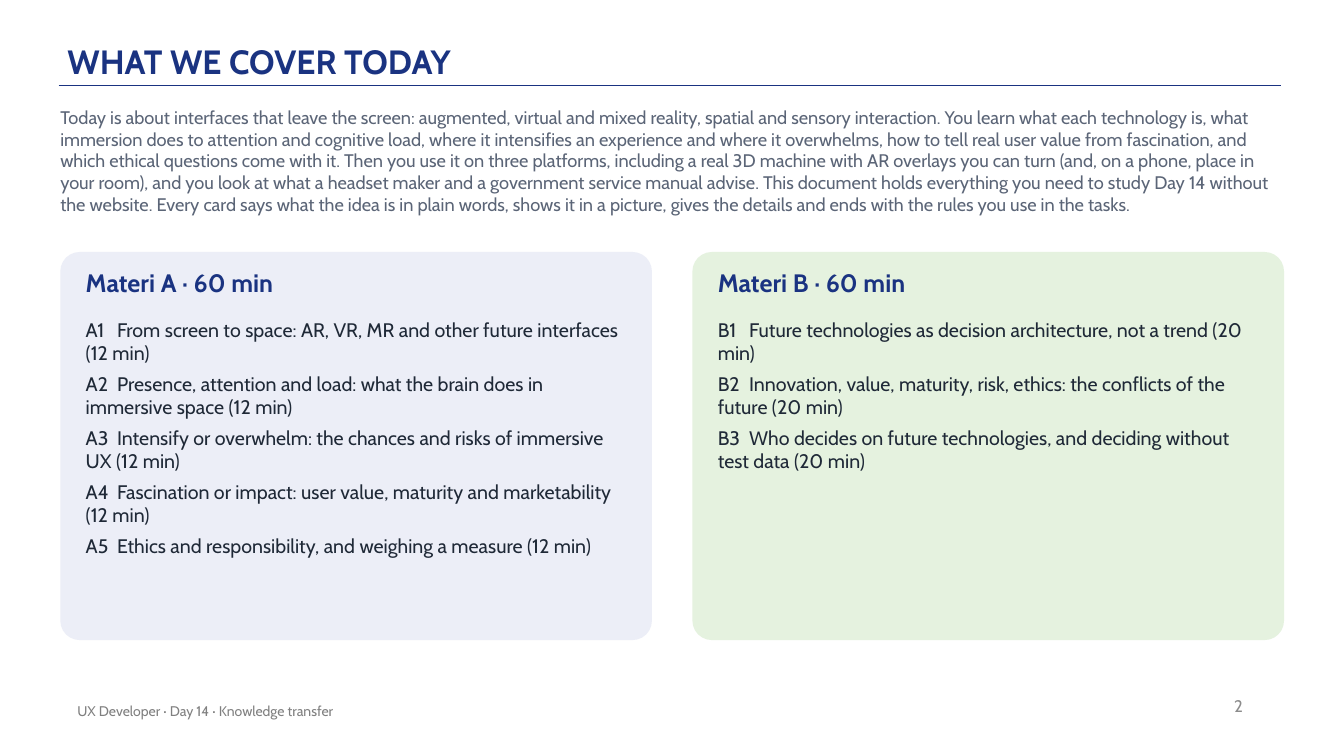
from dataclasses import dataclass

from lxml import etree
from pptx import Presentation
from pptx.dml.color import RGBColor
from pptx.enum.shapes import MSO_CONNECTOR, MSO_SHAPE
from pptx.enum.text import MSO_ANCHOR, PP_ALIGN
from pptx.oxml.ns import qn
from pptx.util import Cm, Pt

TOP, MIDDLE, BOTTOM = MSO_ANCHOR.TOP, MSO_ANCHOR.MIDDLE, MSO_ANCHOR.BOTTOM
LEFT, RIGHT = PP_ALIGN.LEFT, PP_ALIGN.RIGHT
STRAIGHT, ROUNDED = MSO_CONNECTOR.STRAIGHT, MSO_SHAPE.ROUNDED_RECTANGLE

# Content
TITLE = "WHAT WE COVER TODAY"
INTRO = (
    "Today is about interfaces that leave the screen: augmented, virtual and mixed reality, "
    "spatial and sensory interaction. You learn what each technology is, what immersion does "
    "to attention and cognitive load, where it intensifies an experience and where it "
    "overwhelms, how to tell real user value from fascination, and which ethical questions "
    "come with it. Then you use it on three platforms, including a real 3D machine with AR "
    "overlays you can turn (and, on a phone, place in your room), and you look at what a "
    "headset maker and a government service manual advise. This document holds everything "
    "you need to study Day 14 without the website. Every card says what the idea is in plain "
    "words, shows it in a picture, gives the details and ends with the rules you use in the "
    "tasks."
)
MODULES = [
    ("Materi A · 60 min", "ECEEF7", [
        ("A1", "From screen to space: AR, VR, MR and other future interfaces (12 min)"),
        ("A2", "Presence, attention and load: what the brain does in immersive space (12 min)"),
        ("A3", "Intensify or overwhelm: the chances and risks of immersive UX (12 min)"),
        ("A4", "Fascination or impact: user value, maturity and marketability (12 min)"),
        ("A5", "Ethics and responsibility, and weighing a measure (12 min)"),
    ]),
    ("Materi B · 60 min", "E5F2DF", [
        ("B1", "Future technologies as decision architecture, not a trend (20 min)"),
        ("B2", "Innovation, value, maturity, risk, ethics: the conflicts of the future (20 min)"),
        ("B3", "Who decides on future technologies, and deciding without test data (20 min)"),
    ]),
]
FOOTER = "UX Developer · Day 14 · Knowledge transfer"
PAGE_NUMBER = "2"


@dataclass(frozen=True)
class Theme:
    font: str = "Cabin"
    navy: str = "1A3381"
    slate: str = "5B6577"
    ink: str = "1F2937"
    footer_grey: str = "808080"
    number_grey: str = "8C8C8C"
    title_size: int = 24
    heading_size: int = 18
    topic_size: int = 14
    intro_size: int = 13
    number_size: int = 12
    footer_size: int = 10


THEME = Theme()

# Layout in centimetres
CARD_LEFT, CARD_TOP, CARD_WIDTH, CARD_HEIGHT = 1.52, 6.35, 14.91, 9.78
CARD_STEP = 15.93
CARD_PADDING = 0.64
TOPIC_TAB = 0.79

deck = Presentation()
deck.slide_width, deck.slide_height = Cm(33.87), Cm(19.05)
slide = deck.slides.add_slide(deck.slide_layouts[6])


def add_text(lines, box, size, color, bold=False, anchor=TOP, align=LEFT,
             insets=(0, 0), after=0, spacing=1.0, tab=None):
    frame = slide.shapes.add_textbox(*map(Cm, box)).text_frame
    frame.word_wrap = True
    frame.vertical_anchor = anchor
    frame.margin_left = frame.margin_right = Cm(insets[0])
    frame.margin_top = frame.margin_bottom = Cm(insets[1])
    for i, line in enumerate(lines):
        paragraph = frame.paragraphs[0] if i == 0 else frame.add_paragraph()
        paragraph.text = line
        if tab:
            stops = etree.SubElement(paragraph._p.get_or_add_pPr(), qn("a:tabLst"))
            etree.SubElement(stops, qn("a:tab"), pos=str(Cm(tab)), algn="l")
        paragraph.alignment = align
        paragraph.space_after = Pt(after)
        paragraph.line_spacing = spacing
        font = paragraph.font
        font.name, font.size, font.bold = THEME.font, Pt(size), bold
        font.color.rgb = RGBColor.from_string(color)


# Title and rule
rule = slide.shapes.add_connector(STRAIGHT, Cm(1.48), Cm(2.16), Cm(32.28), Cm(2.16))
rule.line.color.rgb = RGBColor.from_string(THEME.navy)
rule.line.width = Pt(1)
etree.SubElement(rule._element.spPr, qn("a:effectLst"))
add_text([TITLE], (1.7, 0.3, 27.94, 1.83), THEME.title_size, THEME.navy, bold=True,
         anchor=BOTTOM, insets=(0, 0.08), spacing=0.9)

# Introduction
add_text([INTRO], (CARD_LEFT, 2.67, 30.73, 3.05), THEME.intro_size, THEME.slate, after=6)

# Module cards
for i, (heading, fill, topics) in enumerate(MODULES):
    left = CARD_LEFT + i * CARD_STEP
    card = slide.shapes.add_shape(ROUNDED, Cm(left), Cm(CARD_TOP), Cm(CARD_WIDTH), Cm(CARD_HEIGHT))
    card.adjustments[0] = 0.05
    card.shadow.inherit = False
    card.fill.solid()
    card.fill.fore_color.rgb = RGBColor.from_string(fill)
    card.line.fill.background()

    text_left, text_width = left + CARD_PADDING, CARD_WIDTH - 2 * CARD_PADDING
    add_text([heading], (text_left, CARD_TOP + 0.38, text_width, 1.02),
             THEME.heading_size, THEME.navy, bold=True, after=6)
    add_text([f"{code}\t{topic}" for code, topic in topics],
             (text_left, CARD_TOP + 1.65, text_width, 7.87),
             THEME.topic_size, THEME.ink, after=5, tab=TOPIC_TAB)

# Footer and page number
add_text([FOOTER], (1.7, 17.4, 17.02, 1.02), THEME.footer_size, THEME.footer_grey,
         anchor=MIDDLE, insets=(0.25, 0.13))
add_text([PAGE_NUMBER], (23.95, 17.27, 7.62, 1.02), THEME.number_size, THEME.number_grey,
         anchor=MIDDLE, align=RIGHT, insets=(0.25, 0.13))

deck.save("out.pptx")
